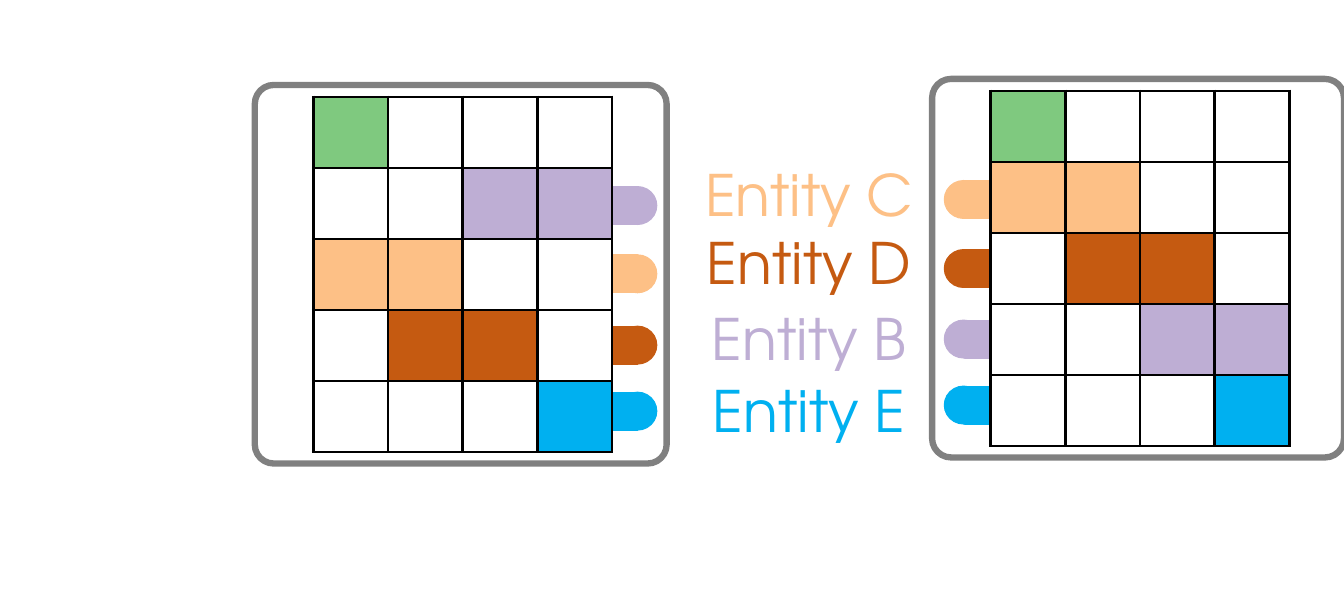
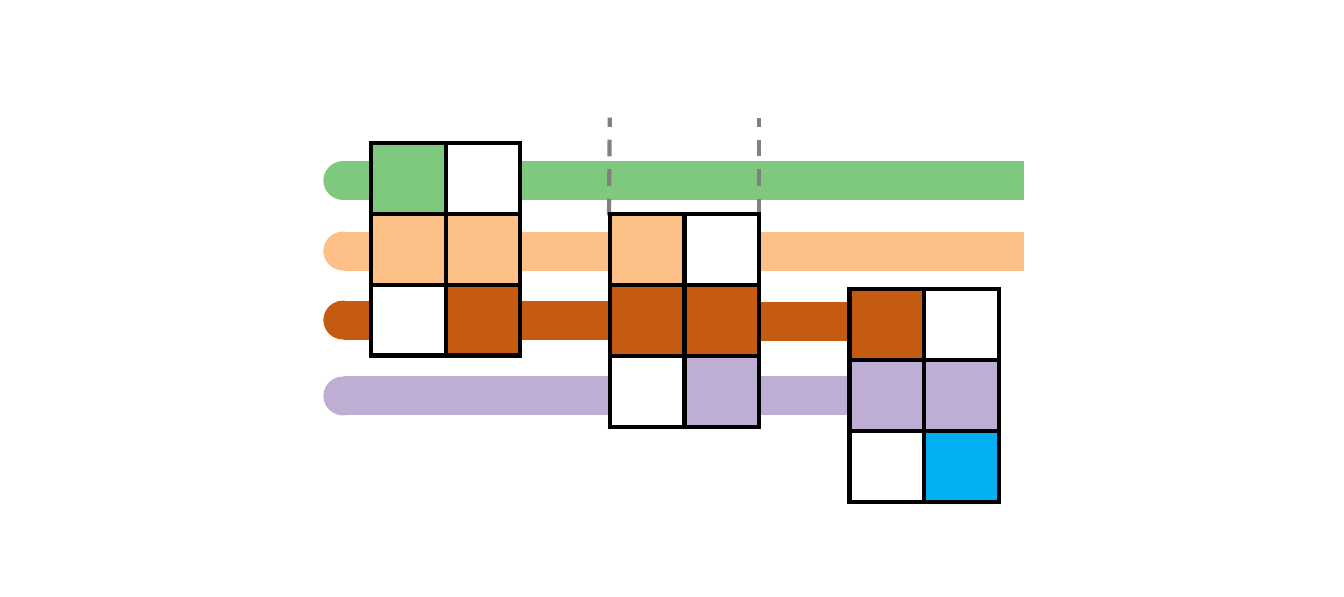
from lxml.etree import SubElement
from pptx import Presentation
from pptx.dml.color import RGBColor
from pptx.enum.dml import MSO_LINE
from pptx.enum.shapes import MSO_CONNECTOR, MSO_SHAPE as SHAPE
from pptx.enum.text import MSO_AUTO_SIZE, PP_ALIGN
from pptx.oxml import parse_xml
from pptx.oxml.ns import nsdecls, qn
from pptx.util import Inches, Pt

# Shared style: entities A to E, with "." for an empty cell
COLORS = {"A": "7FC97F", "B": "BEAED4", "C": "FDC086",
          "D": "C55A11", "E": "00B0F0", ".": "FFFFFF"}
GRAY = "808080"
BLACK = "000000"
FONT = "TeX Gyre Adventor"

# Shared sizes in inches
CELL_WIDTH = 3.94 / 4
CELL_HEIGHT = 4.68 / 5
BAND_HEIGHT = 0.5
CAP_WIDTH = 0.51
STUB_WIDTH = 0.34


def rgb(color):
    return RGBColor.from_string(color)


def add_shape(slide, kind, left, top, width, height, line, points, fill=None):
    shape = slide.shapes.add_shape(kind, Inches(left), Inches(top),
                                   Inches(width), Inches(height))
    shape.shadow.inherit = False
    if fill:
        shape.fill.solid()
        shape.fill.fore_color.rgb = rgb(fill)
    else:
        shape.fill.background()
    shape.line.color.rgb = rgb(line)
    shape.line.width = Pt(points)
    return shape


def add_bar(slide, entity, left, top, width, kind=SHAPE.RECTANGLE):
    color = COLORS[entity]
    add_shape(slide, kind, left, top, width, BAND_HEIGHT, color, 1, color)


def add_tab(slide, entity, stub_left, cap_left, top):
    add_bar(slide, entity, stub_left, top, STUB_WIDTH)
    add_bar(slide, entity, cap_left, top, CAP_WIDTH, SHAPE.OVAL)


def add_frame(slide, left, top):
    frame = add_shape(slide, SHAPE.ROUNDED_RECTANGLE, left, top, 5.43, 4.99, GRAY, 6)
    frame.adjustments[0] = 0.05


def set_borders(cell, points):
    properties = cell._tc.get_or_add_tcPr()
    for position, side in enumerate(("lnL", "lnR", "lnT", "lnB")):
        properties.insert(position, parse_xml(
            f'<a:{side} {nsdecls("a")} w="{Pt(points)}"><a:solidFill>'
            f'<a:srgbClr val="{BLACK}"/></a:solidFill></a:{side}>'))


def add_grid(slide, left, top, rows, border):
    """Draw a table from strings with one entity letter per cell."""
    columns = len(rows[0])
    table = slide.shapes.add_table(
        len(rows), columns, Inches(left), Inches(top),
        Inches(CELL_WIDTH * columns), Inches(CELL_HEIGHT * len(rows))).table
    table.first_row = False
    table.horz_banding = False
    for row_index, row in enumerate(rows):
        for column_index, entity in enumerate(row):
            cell = table.cell(row_index, column_index)
            cell.fill.solid()
            cell.fill.fore_color.rgb = rgb(COLORS[entity])
            set_borders(cell, border)


def add_label(slide, entity, top):
    box = slide.shapes.add_textbox(Inches(9.11), Inches(top), Inches(3.12), Inches(1.01))
    frame = box.text_frame
    frame.word_wrap = True
    frame.auto_size = MSO_AUTO_SIZE.SHAPE_TO_FIT_TEXT
    paragraph = frame.paragraphs[0]
    paragraph.text = f"Entity {entity}"
    paragraph.alignment = PP_ALIGN.CENTER
    paragraph.font.name = FONT
    paragraph.font.size = Pt(54.2)
    paragraph.font.color.rgb = rgb(COLORS[entity])


def add_dashed_line(slide, bottom_x, top_x):
    line = slide.shapes.add_connector(MSO_CONNECTOR.STRAIGHT, Inches(bottom_x),
                                      Inches(2.84), Inches(top_x), Inches(1.55))
    line.line.color.rgb = rgb(GRAY)
    line.line.width = Pt(4)
    line.line.dash_style = MSO_LINE.DASH
    SubElement(line._element.spPr, qn("a:effectLst"))


def build_matching_slide(slide):
    # Left panel, tabs pointing right
    for entity, top in (("B", 2.46), ("C", 3.36), ("D", 4.3), ("E", 5.17)):
        add_tab(slide, entity, 8.07, 8.15, top)
    add_grid(slide, 4.13, 1.28, ("A...", "..BB", "CC..", ".DD.", "...E"), 3)
    add_frame(slide, 3.36, 1.12)

    # Right panel, tabs pointing left
    for entity, top in (("C", 2.38), ("D", 3.29), ("B", 4.22), ("E", 5.09)):
        add_tab(slide, entity, 12.72, 12.45, top)
    for entity, top in (("C", 2.05), ("B", 3.95), ("D", 2.95), ("E", 4.9)):
        add_label(slide, entity, top)
    add_grid(slide, 13.06, 1.2, ("A...", "CC..", ".DD.", "..BB", "...E"), 3)
    add_frame(slide, 12.29, 1.04)


def build_window_slide(slide):
    # Bands: rounded start, then bars as (left, top, width)
    bands = (
        ("A", 2.13, ((6.8, 2.13, 6.7),)),
        ("C", 3.06, ((6.8, 3.06, 6.7),)),
        ("D", 3.97, ((8.84, 3.99, 2.37), (6.8, 3.97, 2.37))),
        ("B", 4.97, ((8.82, 4.96, 2.63), (4.54, 4.97, 4.28))),
    )
    for entity, start_top, bars in bands:
        for left, top, width in bars:
            add_bar(slide, entity, left, top, width)
        add_tab(slide, entity, 4.54, 4.27, start_top)

    # Guides above the middle window
    add_dashed_line(slide, 10.01, 10.01)
    add_dashed_line(slide, 8.03, 8.04)

    # Sliding windows
    for left, top, rows in ((4.89, 1.88, ("A.", "CC", ".D")),
                            (8.04, 2.82, ("C.", "DD", ".B")),
                            (11.2, 3.81, ("D.", "BB", ".E"))):
        add_grid(slide, left, top, rows, 4.5)


def main():
    presentation = Presentation()
    presentation.slide_width = Inches(17.72)
    presentation.slide_height = Inches(7.87)
    blank = presentation.slide_layouts[6]
    for build in (build_matching_slide, build_window_slide):
        build(presentation.slides.add_slide(blank))
    presentation.save("out.pptx")


if __name__ == "__main__":
    main()
